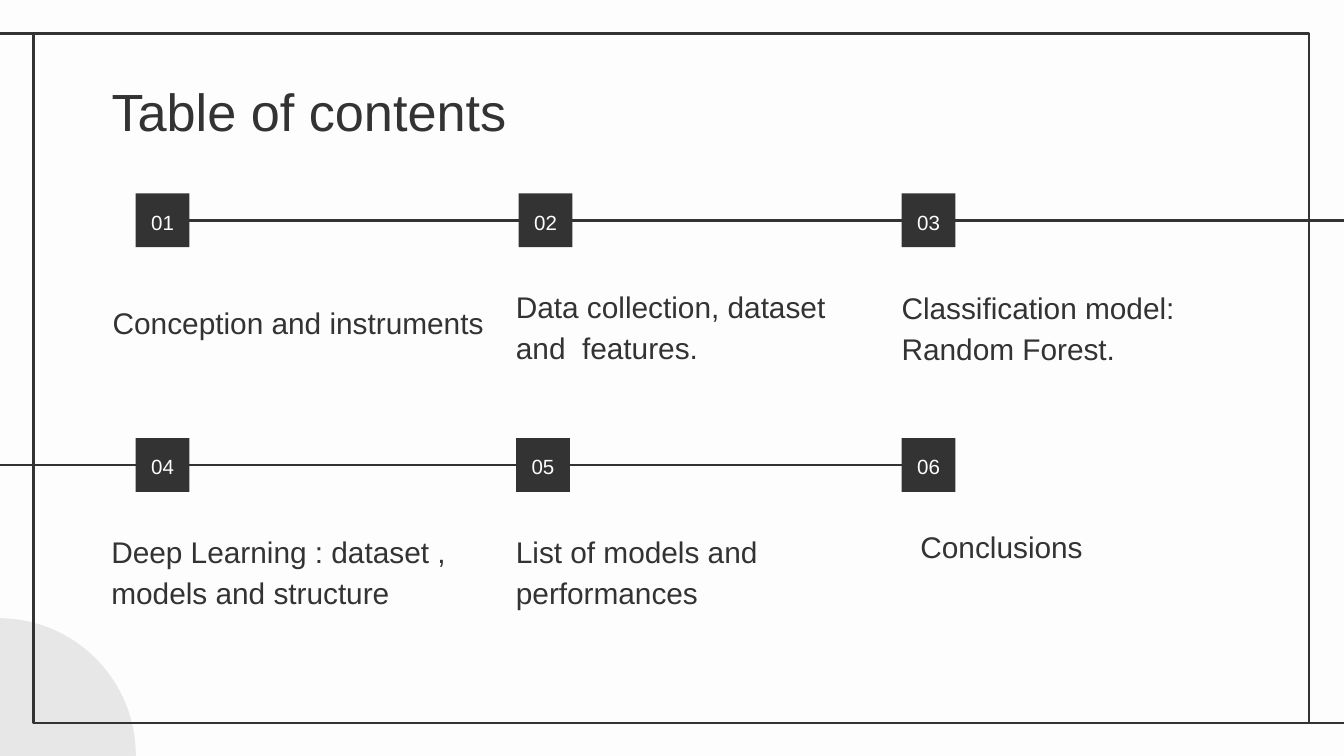
"""Builds a table of contents slide with six numbered sections on two timelines."""
from pptx import Presentation
from pptx.dml.color import RGBColor
from pptx.enum.shapes import MSO_CONNECTOR, MSO_SHAPE
from pptx.enum.text import MSO_ANCHOR, MSO_AUTO_SIZE, PP_ALIGN
from pptx.oxml.ns import qn
from pptx.util import Inches, Pt
from lxml import etree

STRAIGHT = MSO_CONNECTOR.STRAIGHT
RECTANGLE, OVAL = MSO_SHAPE.RECTANGLE, MSO_SHAPE.OVAL
TOP, MIDDLE, BOTTOM = MSO_ANCHOR.TOP, MSO_ANCHOR.MIDDLE, MSO_ANCHOR.BOTTOM
LEFT, CENTER = PP_ALIGN.LEFT, PP_ALIGN.CENTER
NO_AUTOFIT = MSO_AUTO_SIZE.NONE
LEFT_SIDE, RIGHT_SIDE = 1, 3
TITLE_ONLY = 5

FONT = "Arial"
DARK, LIGHT, PALE = "333333", "FDFDFD", "E8E7E7"
LINE_WIDTH = 1.5
BADGE = 0.4
TEXT_HEIGHT = 0.42
FIRST_ROW, SECOND_ROW = 1.44, 3.26

SECTIONS = [
    ("Conception and instruments", 1.01, FIRST_ROW, (0.74, 2.21, 3.01)),
    ("Data collection, dataset and  features.", 3.86, FIRST_ROW, (3.74, 2.4, 2.52)),
    ("Classification model: Random Forest.", 6.71, FIRST_ROW, (6.61, 2.41, 2.52)),
    ("Deep Learning : dataset , \vmodels and structure", 1.01, SECOND_ROW, (0.73, 4.22, 3.31)),
    ("List of models and performances", 3.84, SECOND_ROW, (3.74, 4.22, 2.52)),
    ("Conclusions", 6.71, SECOND_ROW, (6.75, 3.88, 2.52)),
]


def color(value):
    return RGBColor.from_string(value)


def write(shape, text, size=16, ink=DARK, align=LEFT, anchor=BOTTOM, spacing=1.15):
    frame = shape.text_frame
    frame.word_wrap = True
    frame.auto_size = NO_AUTOFIT
    frame.vertical_anchor = anchor
    frame.margin_left = frame.margin_right = Inches(0.1)
    frame.margin_top = frame.margin_bottom = Inches(0.1)
    paragraph = frame.paragraphs[0]
    paragraph.text = text
    paragraph.alignment = align
    paragraph.line_spacing = spacing
    for run in paragraph.runs:
        run.font.name = FONT
        run.font.size = Pt(size)
        run.font.color.rgb = color(ink)


class SlideBuilder:
    def __init__(self, slide):
        self.slide = slide
        background = slide.background.fill
        background.solid()
        background.fore_color.rgb = color(LIGHT)

    def title(self, text, *box):
        shape = self.slide.shapes.title
        shape.left, shape.top, shape.width, shape.height = map(Inches, box)
        write(shape, text, size=28, anchor=TOP, spacing=1.0)

    def shape(self, kind, *box, fill=None, line=None):
        shape = self.slide.shapes.add_shape(kind, *map(Inches, box))
        shape.shadow.inherit = False
        if fill:
            shape.fill.solid()
            shape.fill.fore_color.rgb = color(fill)
        else:
            shape.fill.background()
        if line:
            shape.line.color.rgb = color(line)
            shape.line.width = Pt(LINE_WIDTH)
        else:
            shape.line.fill.background()
        return shape

    def line(self, *ends):
        connector = self.slide.shapes.add_connector(STRAIGHT, *map(Inches, ends))
        connector.line.color.rgb = color(DARK)
        connector.line.width = Pt(LINE_WIDTH)
        etree.SubElement(connector._element.spPr, qn("a:effectLst"))
        return connector

    def badge(self, number, left, top):
        shape = self.shape(RECTANGLE, left, top, BADGE, BADGE, fill=DARK)
        write(shape, f"{number:02d}", size=11, ink=LIGHT, align=CENTER, anchor=MIDDLE)
        return shape

    def label(self, text, left, top, width):
        box = map(Inches, (left, top, width, TEXT_HEIGHT))
        write(self.slide.shapes.add_textbox(*box), text)


def main():
    presentation = Presentation()
    presentation.slide_width = Inches(10)
    presentation.slide_height = Inches(10) * 9 // 16
    layout = presentation.slide_layouts[TITLE_ONLY]
    builder = SlideBuilder(presentation.slides.add_slide(layout))

    builder.shape(OVAL, -1.03, 4.6, 2.04, 2.04, fill=PALE)
    builder.shape(RECTANGLE, 0.25, 0.25, 9.49, 5.13, line=DARK)
    builder.line(0.26, 0.25, -0.02, 0.25)
    builder.line(10.03, 5.38, 9.74, 5.38)
    builder.title("Table of contents", 0.73, 0.49, 8.43, 0.63)

    second_axis = SECOND_ROW + BADGE / 2
    first_axis = FIRST_ROW + BADGE / 2
    second_line = builder.line(6.71, second_axis, -0.18, second_axis)
    first_line = builder.line(1.41, first_axis, 10.17, first_axis)

    badges = []
    for number, (text, left, top, label_box) in enumerate(SECTIONS, start=1):
        badges.append(builder.badge(number, left, top))
        builder.label(text, *label_box)
    first_line.begin_connect(badges[0], RIGHT_SIDE)
    second_line.begin_connect(badges[-1], LEFT_SIDE)

    presentation.save("out.pptx")


if __name__ == "__main__":
    main()
